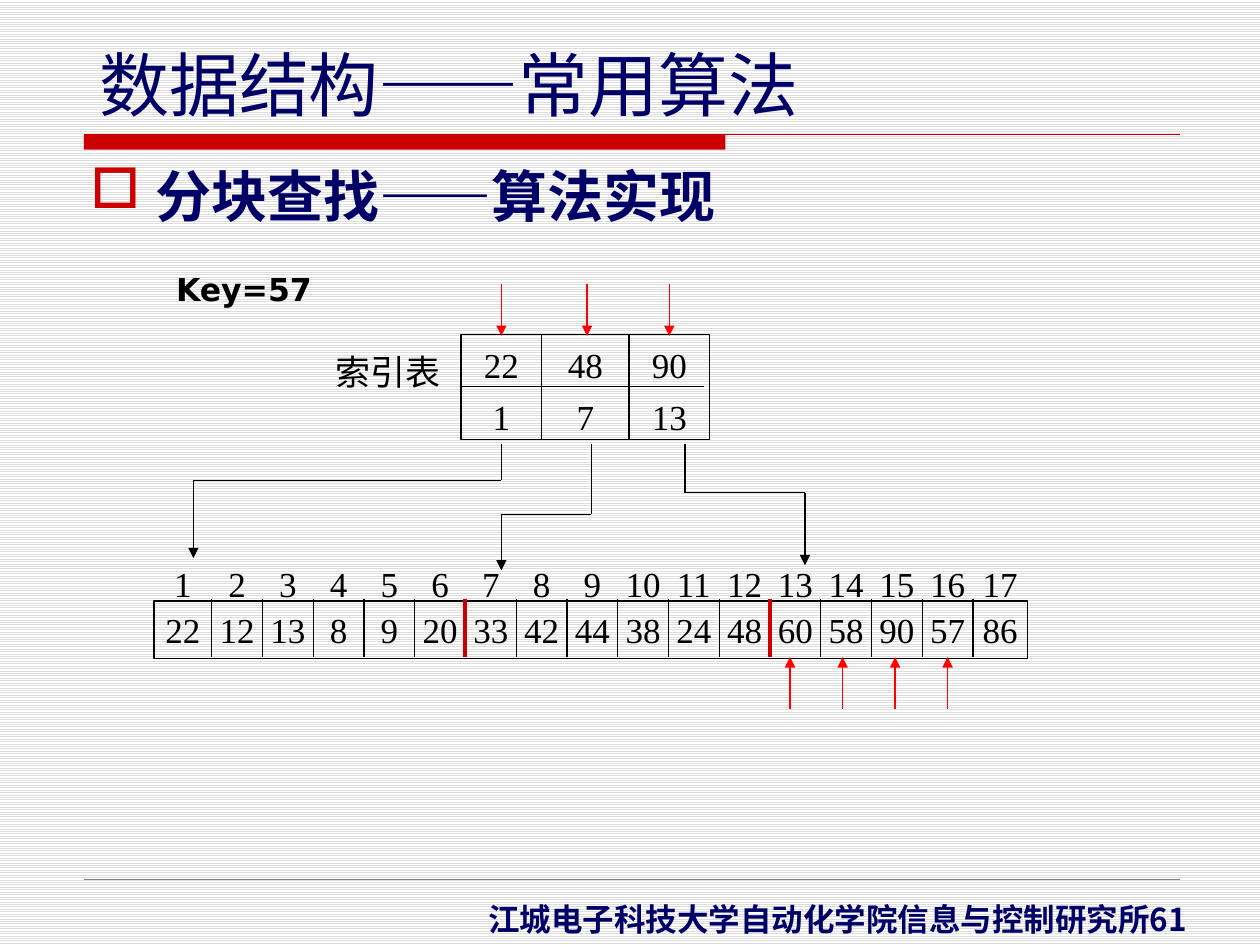
import itertools

import pptx
import pptx.dml.color
import pptx.enum.dml
import pptx.enum.shapes
import pptx.enum.text
import pptx.oxml
import pptx.oxml.ns
import pptx.util

Pt = pptx.util.Pt
RGBColor = pptx.dml.color.RGBColor
ANCHOR = pptx.enum.text.MSO_ANCHOR

NAVY = RGBColor(0x00, 0x00, 0x66)
CRIMSON = RGBColor(0xCC, 0x00, 0x00)
RED = RGBColor(0xFF, 0x00, 0x00)
BLACK = RGBColor(0x00, 0x00, 0x00)
WHITE = RGBColor(0xFF, 0xFF, 0xFF)
GREY = RGBColor(0x80, 0x80, 0x80)
STRIPE = RGBColor(0xDD, 0xDD, 0xDD)

SERIF, SANS, CJK = "Times New Roman", "DejaVu Sans", "Noto Sans CJK SC"

TITLE = [("数据结构", SANS), ("——", "Arial"), ("常用算法", SANS)]
SUBTITLE = [("分块查找——算法实现", CJK)]
FOOTER = [("江城电子科技大学自动化学院信息与控制研究所", SERIF), ("61", CJK)]
KEY = [("Key=57", SANS)]
INDEX_LABEL = [("索引表", SERIF)]

INDEX_ROWS = [[22, 48, 90], [1, 7, 13]]
INDEX_EDGES = [263.5, 309.5, 359.5, 405.5]
INDEX_TOP, INDEX_ROW_HEIGHT = 191, 30

DATA = [22, 12, 13, 8, 9, 20, 33, 42, 44, 38, 24, 48, 60, 58, 90, 57, 86]
DATA_EDGES = [88] + [121 + 29 * i for i in range(len(DATA) - 1)] + [587]
DATA_TOP, DATA_HEIGHT = 343.5, 33
BLOCK_ENDS = (6, 12)

POINTERS = [
    [(286.5, 253.5), (286.5, 274.5), (110.5, 274.5), (110.5, 319)],
    [(338, 253.5), (338, 294), (286.5, 294), (286.5, 326)],
    [(391.5, 253.5), (391.5, 281.5), (460, 281.5), (460, 323)],
]
INDEX_PROBES = [286.5, 335.5, 382.5]
DATA_PROBES = [451.5 + 30 * i for i in range(4)]


def add_xml(parent, tag, **attributes):
    child = pptx.oxml.parse_xml(f"<{tag} {pptx.oxml.ns.nsdecls('a')}/>")
    for name, value in attributes.items():
        child.set(name, str(value))
    parent.append(child)
    return child


def write(shape, runs, size, color, bold=False, anchor=ANCHOR.TOP):
    frame = shape.text_frame
    frame.word_wrap = True
    frame.auto_size = pptx.enum.text.MSO_AUTO_SIZE.NONE
    frame.vertical_anchor = anchor
    paragraph = frame.paragraphs[0]
    paragraph.alignment = pptx.enum.text.PP_ALIGN.LEFT
    for text, font_name in runs:
        run = paragraph.add_run()
        run.text = text
        run.font.name = font_name
        run.font.size = Pt(size)
        run.font.bold = bold
        run.font.color.rgb = color
        add_xml(run.font._element, "a:ea", typeface=CJK)
    return paragraph


def add_text(slide, left, top, width, height, *args, **options):
    box = slide.shapes.add_textbox(Pt(left), Pt(top), Pt(width), Pt(height))
    return write(box, *args, **options)


def add_line(slide, start, end, color=BLACK, width=0.75, arrow=False):
    line = slide.shapes.add_connector(
        pptx.enum.shapes.MSO_CONNECTOR.STRAIGHT, *(Pt(v) for v in start + end))
    line.line.color.rgb = color
    line.line.width = Pt(width)
    if arrow:
        add_xml(line.line._get_or_add_ln(), "a:tailEnd", type="triangle")
    add_xml(line._element.spPr, "a:effectLst")


def add_rectangle(slide, left, top, width, height, fill=None):
    shape = slide.shapes.add_shape(
        pptx.enum.shapes.MSO_SHAPE.RECTANGLE, Pt(left), Pt(top), Pt(width), Pt(height))
    shape.shadow.inherit = False
    if fill is None:
        shape.fill.background()
        shape.line.color.rgb = BLACK
        shape.line.width = Pt(0.75)
    else:
        shape.fill.solid()
        shape.fill.fore_color.rgb = fill
        shape.line.fill.background()
    return shape


def write_cells(shape, values, edges):
    """Centre each value between two edges by means of tab stops."""
    frame = shape.text_frame
    frame.margin_left = frame.margin_right = 0
    text = "".join(f"\t{value}" for value in values)
    paragraph = write(shape, [(text, SERIF)], 20, BLACK, anchor=ANCHOR.MIDDLE)
    tabs = add_xml(paragraph._p.get_or_add_pPr(), "a:tabLst")
    for left, right in itertools.pairwise(edges):
        add_xml(tabs, "a:tab", pos=Pt((left + right) / 2 - edges[0]), algn="ctr")


def add_cell_text(slide, values, edges, top, height):
    box = slide.shapes.add_textbox(
        Pt(edges[0]), Pt(top), Pt(edges[-1] - edges[0]), Pt(height))
    write_cells(box, values, edges)


def add_frame(slide):
    fill = slide.background.fill
    fill.patterned()
    fill.pattern = pptx.enum.dml.MSO_PATTERN.LIGHT_HORIZONTAL
    fill.fore_color.rgb = STRIPE
    fill.back_color.rgb = WHITE
    add_rectangle(slide, 48, 77, 366.5, 8.5, CRIMSON)
    add_line(slide, (48, 77), (674.5, 77), CRIMSON)
    add_line(slide, (48, 502.5), (674.5, 502.5), GREY, 0.25)

    title = slide.shapes.title
    title.left, title.top, title.width, title.height = Pt(49.5), Pt(20), Pt(430), Pt(55.5)
    write(title, TITLE, 40, NAVY)
    add_text(slide, 272, 511, 440, 29, FOOTER, 18, NAVY, bold=True)

    subtitle = add_text(slide, 44.5, 88.5, 630, 408, SUBTITLE, 32, NAVY, bold=True)
    properties = subtitle._p.get_or_add_pPr()
    properties.set("marL", str(Pt(37)))
    properties.set("indent", str(Pt(-37)))
    add_xml(add_xml(properties, "a:buClr"), "a:srgbClr", val=CRIMSON)
    add_xml(properties, "a:buChar", char="□")


def add_index_table(slide):
    left, right = INDEX_EDGES[0], INDEX_EDGES[-1]
    height = INDEX_ROW_HEIGHT * len(INDEX_ROWS)
    add_rectangle(slide, left, INDEX_TOP, right - left, height)
    middle = INDEX_TOP + INDEX_ROW_HEIGHT
    add_line(slide, (left, middle), (right - 3, middle))
    for x in INDEX_EDGES[1:-1]:
        add_line(slide, (x, INDEX_TOP), (x, INDEX_TOP + height))
    for row, values in enumerate(INDEX_ROWS):
        top = INDEX_TOP + 2 + row * INDEX_ROW_HEIGHT
        add_cell_text(slide, values, INDEX_EDGES, top, INDEX_ROW_HEIGHT)
    add_text(slide, 184.5, 196.5, 80, 31, INDEX_LABEL, 20, BLACK)


def add_data_row(slide):
    add_cell_text(slide, range(1, len(DATA) + 1), DATA_EDGES, 318, 31)
    box = add_rectangle(
        slide, DATA_EDGES[0], DATA_TOP, DATA_EDGES[-1] - DATA_EDGES[0], DATA_HEIGHT)
    write_cells(box, DATA, DATA_EDGES)
    for number, x in enumerate(DATA_EDGES[1:-1], start=1):
        color, width = (CRIMSON, 2.25) if number in BLOCK_ENDS else (BLACK, 0.75)
        add_line(slide, (x, DATA_TOP - 1), (x, DATA_TOP + DATA_HEIGHT - 1), color, width)


def add_arrows(slide):
    for points in POINTERS:
        for start, end in itertools.pairwise(points):
            add_line(slide, start, end, arrow=end == points[-1])
    for x in INDEX_PROBES:
        add_line(slide, (x, 162), (x, 192), RED, arrow=True)
    for x in DATA_PROBES:
        add_line(slide, (x, 405), (x, 375.5), RED, arrow=True)


def main():
    presentation = pptx.Presentation()
    presentation.slide_width, presentation.slide_height = Pt(720), Pt(540)
    slide = presentation.slides.add_slide(presentation.slide_layouts[5])
    add_frame(slide)
    add_text(slide, 93.5, 151, 110, 29, KEY, 18, BLACK, bold=True)
    add_data_row(slide)
    add_index_table(slide)
    add_arrows(slide)
    presentation.save("out.pptx")


if __name__ == "__main__":
    main()
